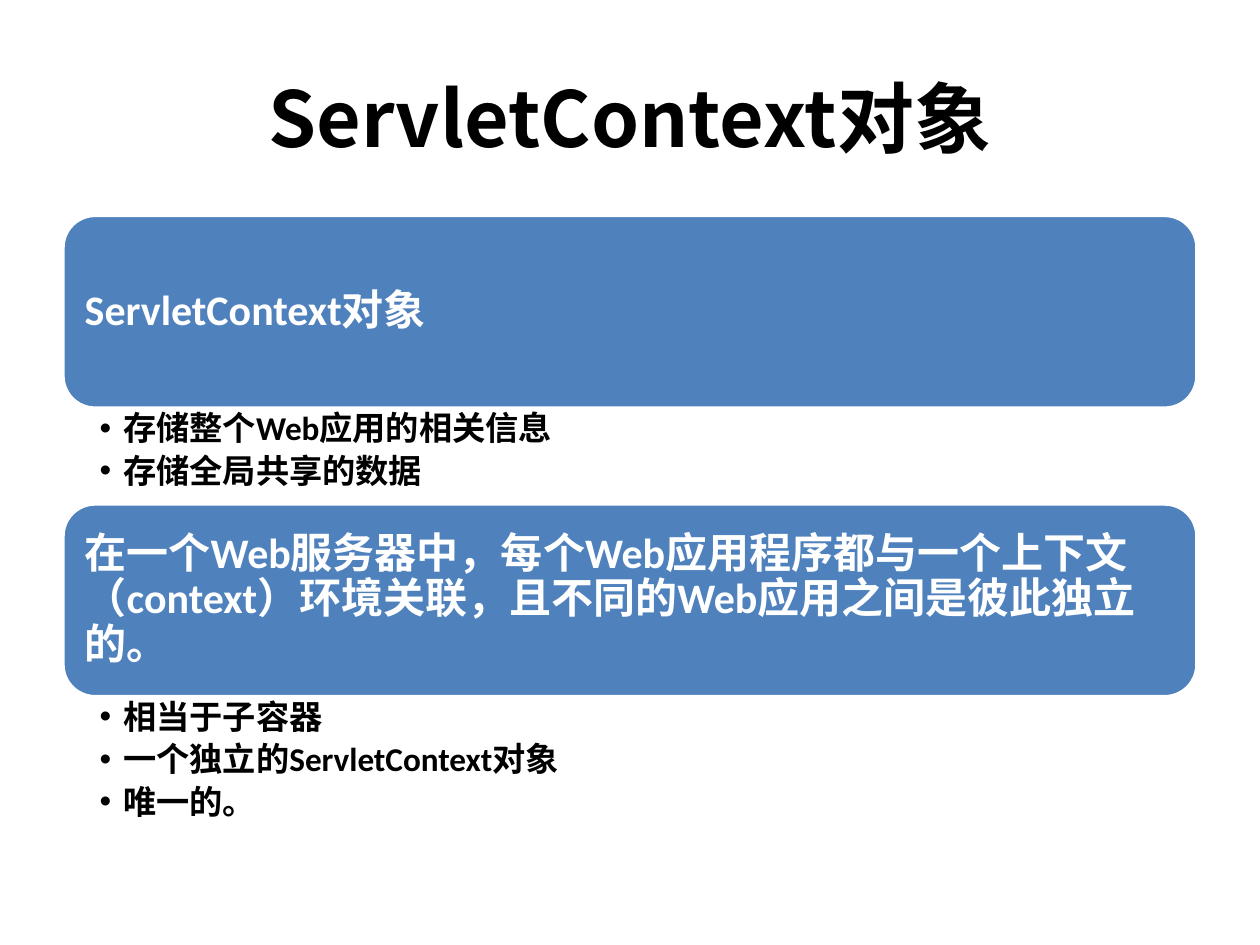
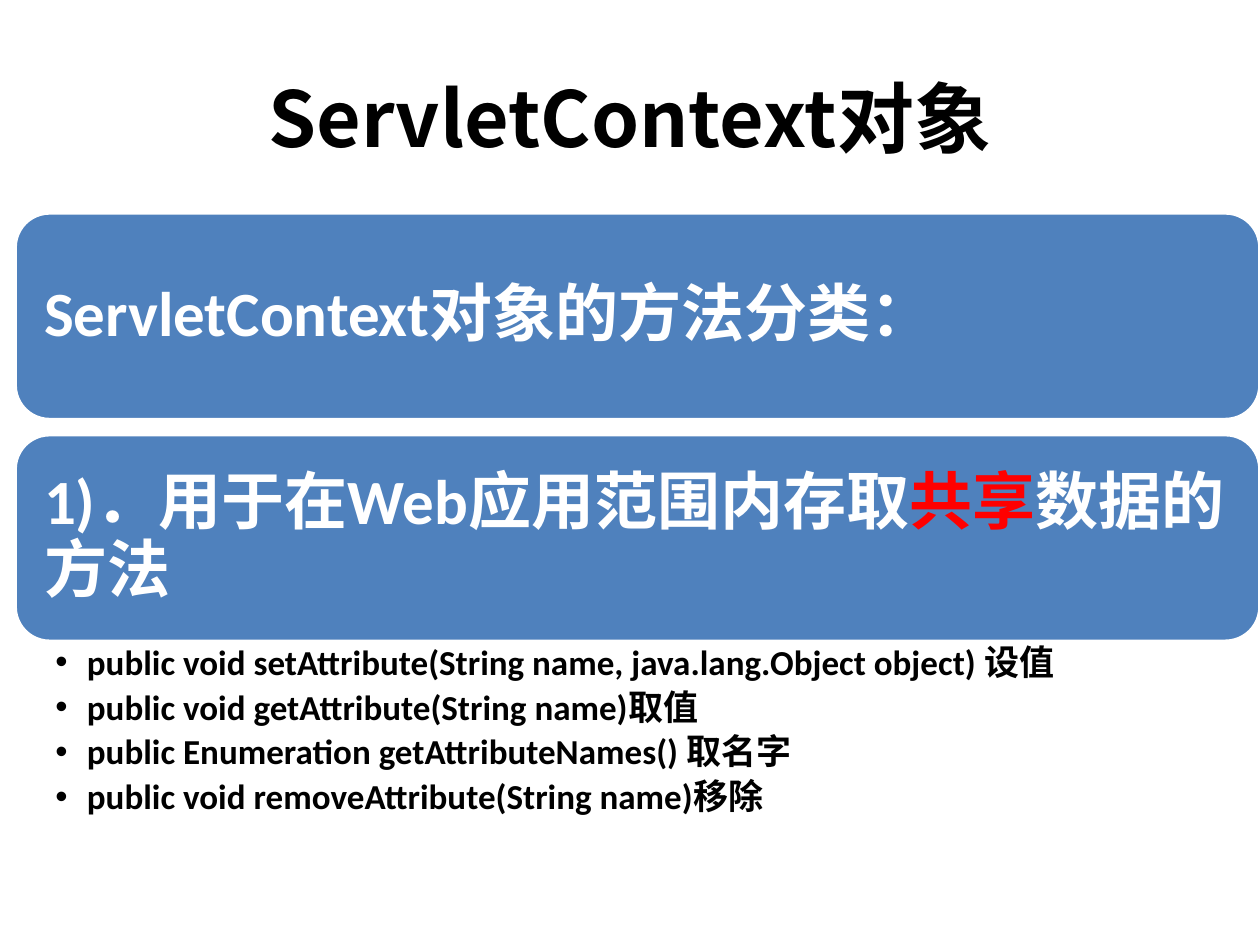
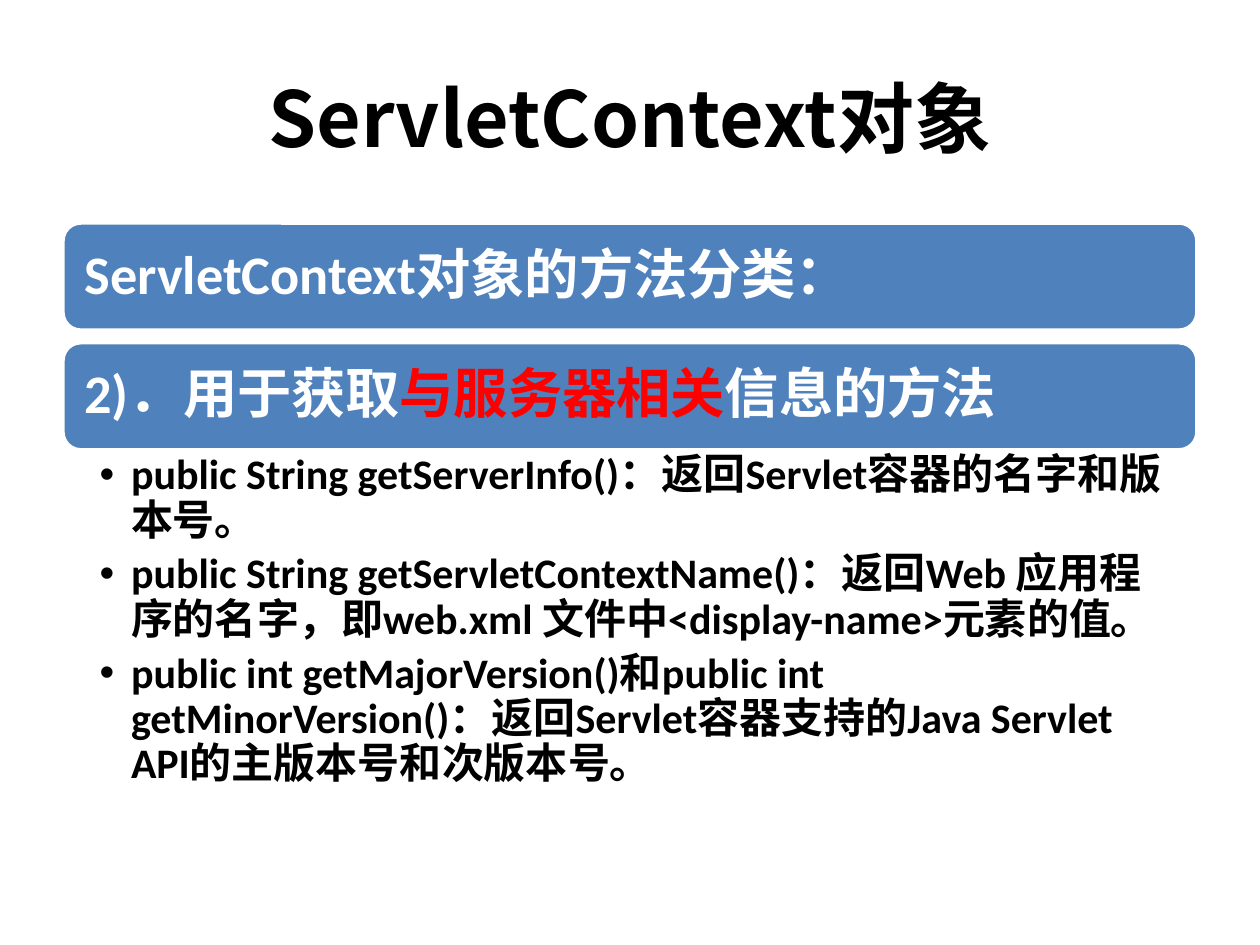
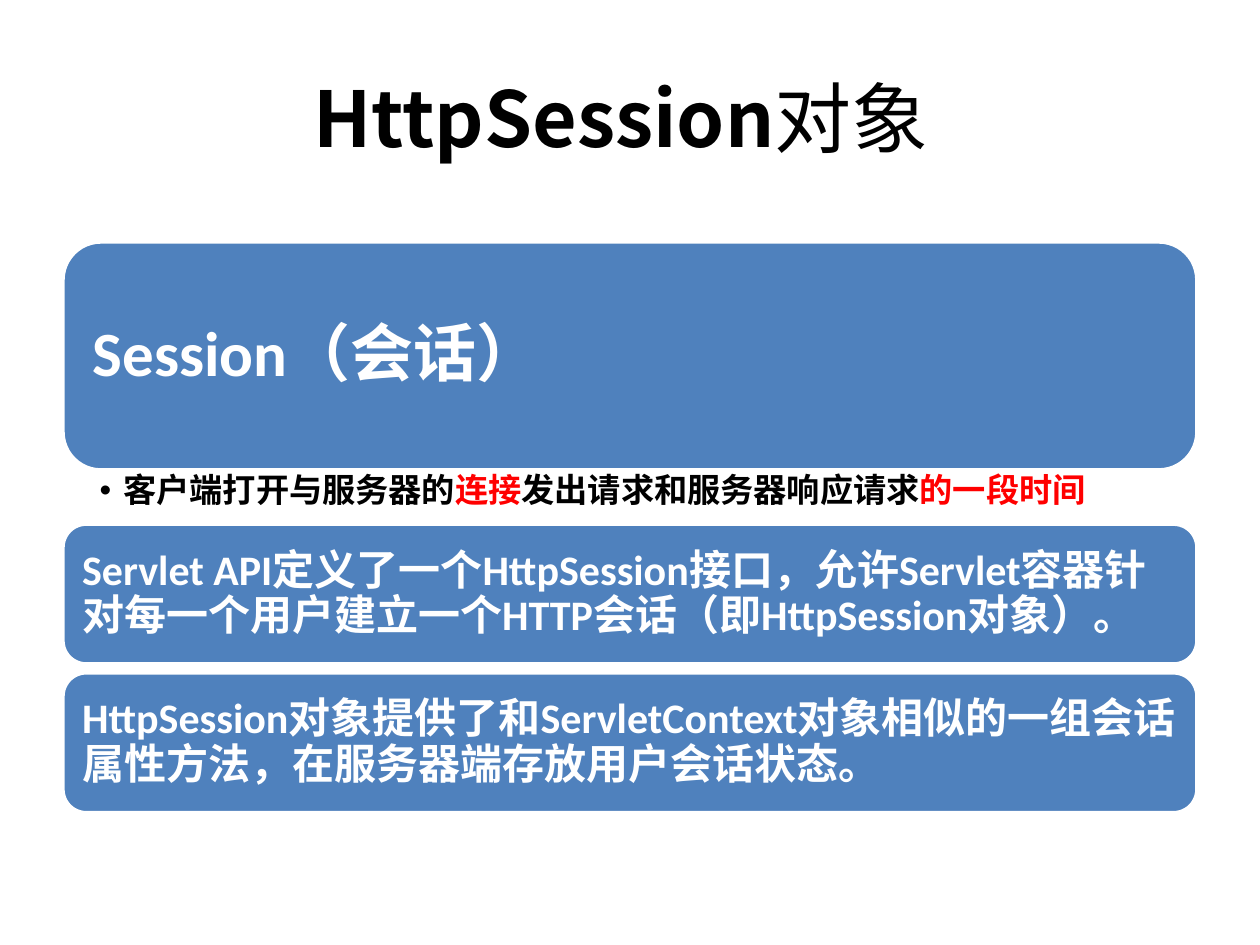
"""Build four slides on the ServletContext and HttpSession objects."""
from lxml import etree
from pptx import Presentation
from pptx import util as u
from pptx.dml.color import RGBColor
from pptx.enum import shapes, text
from pptx.oxml import ns

PX = 9144
BLUE = RGBColor(0x4F, 0x81, 0xBD)
WHITE = RGBColor(0xFF, 0xFF, 0xFF)
BLACK = RGBColor(0x00, 0x00, 0x00)
RED = RGBColor(0xFF, 0x00, 0x00)
TITLE_FONT, BODY_FONT = "Noto Sans CJK JP", "Calibri"
TITLE_BOX = (50, 30, 900, 125)

# A "|" in a text switches the accent format on and off.
SLIDES = [
    {
        "title": "ServletContext对象", "left": 50, "width": 900, "top": 171, "gap": 0,
        "parts": [
            {"kind": "band", "height": 153, "size": 24, "lines": ["ServletContext对象"]},
            {"kind": "list", "height": 76, "size": 19, "hanging": 19, "lines": [
                "存储整个Web应用的相关信息",
                "存储全局共享的数据",
            ]},
            {"kind": "band", "height": 153, "size": 24, "lines": [
                "在一个Web服务器中，每个Web应用程序都与一个上下文（context）环境关联，"
                "且不同的Web应用之间是彼此独立的。",
            ]},
            {"kind": "list", "height": 114, "size": 19, "hanging": 19, "lines": [
                "相当于子容器",
                "一个独立的ServletContext对象",
                "唯一的。",
            ]},
        ],
    },
    {
        "title": "ServletContext对象", "left": 12, "width": 988, "top": 169, "gap": 12,
        "parts": [
            {"kind": "band", "height": 164, "size": 36, "lines": ["ServletContext对象的方法分类："]},
            {"kind": "band", "height": 164, "size": 36, "lines": [
                "1)．用于在Web应用范围内存取|共享|数据的方法",
            ]},
            {"kind": "list", "height": 159, "size": 20, "hanging": 25, "lines": [
                "public void setAttribute(String name, java.lang.Object object) 设值",
                "public void getAttribute(String name)取值",
                "public Enumeration getAttributeNames() 取名字",
                "public void removeAttribute(String name)移除",
            ]},
        ],
    },
    {
        "title": "ServletContext对象", "left": 50, "width": 900, "top": 177, "gap": 10,
        "parts": [
            {"kind": "band", "height": 85, "size": 31, "lines": ["ServletContext对象的方法分类："]},
            {"kind": "band", "height": 85, "size": 31, "lines": [
                "2)．用于获取|与服务器相关|信息的方法",
            ]},
            {"kind": "list", "height": 302, "size": 24, "hanging": 25, "lines": [
                "public String getServerInfo()：返回Servlet容器的名字和版本号。",
                "public String getServletContextName()：返回Web 应用程序的名字，"
                "即web.xml 文件中<display-name>元素的值。",
                "public int getMajorVersion()和public int getMinorVersion()："
                "返回Servlet容器支持的Java Servlet API的主版本号和次版本号。",
            ]},
        ],
    },
    {
        "title": "HttpSession|对象 ", "left": 50, "width": 900, "top": 192, "gap": 7,
        "parts": [
            {"kind": "band", "height": 181, "size": 36, "lines": ["Session（会话）"]},
            {"kind": "list", "height": 43, "size": 19, "hanging": 19, "lines": [
                "客户端打开与服务器的|连接|发出请求和服务器响应请求|的一段时间",
            ]},
            {"kind": "band", "height": 111, "size": 24, "lines": [
                "Servlet API定义了一个HttpSession接口，允许Servlet容器针对每一个用户"
                "建立一个HTTP会话（即HttpSession对象）。",
            ]},
            {"kind": "band", "height": 111, "size": 24, "lines": [
                "HttpSession对象提供了和ServletContext对象相似的一组会话属性方法，"
                "在服务器端存放用户会话状态。",
            ]},
        ],
    },
]


def px(*lengths):
    return [u.Emu(length * PX) for length in lengths]


def add_bullet(para, hanging):
    props = para._p.get_or_add_pPr()
    props.set("marL", str(hanging * PX))
    props.set("indent", str(-hanging * PX))
    etree.SubElement(props, ns.qn("a:buFont")).set("typeface", "Arial")
    etree.SubElement(props, ns.qn("a:buChar")).set("char", "•")


def write(box, lines, size, color=BLACK, accent=RED, font=BODY_FONT, insets=(10, 5, 10, 5),
          anchor=text.MSO_ANCHOR.MIDDLE, align=text.PP_ALIGN.LEFT,
          spacing=None, after=0, hanging=0, accent_bold=True):
    frame = box.text_frame
    frame.word_wrap = True
    frame.auto_size = text.MSO_AUTO_SIZE.NONE
    frame.vertical_anchor = anchor
    (frame.margin_left, frame.margin_top,
     frame.margin_right, frame.margin_bottom) = px(*insets)
    for row, line in enumerate(lines):
        para = frame.add_paragraph() if row else frame.paragraphs[0]
        if hanging:
            add_bullet(para, hanging)
        para.alignment = align
        para.line_spacing = spacing
        para.space_after = u.Pt(round(size * after, 1))
        for order, piece in enumerate(line.split("|")):
            if not piece:
                continue
            span = para.add_run()
            span.text = piece
            span.font.name = font
            span.font.size = u.Pt(size)
            span.font.bold = accent_bold if order % 2 else True
            span.font.color.rgb = accent if order % 2 else color


def add_band(page, place, part):
    band = page.shapes.add_shape(shapes.MSO_SHAPE.ROUNDED_RECTANGLE, *px(*place))
    band.shadow.inherit = False
    band.fill.solid()
    band.fill.fore_color.rgb = BLUE
    band.line.color.rgb = WHITE
    band.line.width = u.Pt(2)
    inset = round(part["size"] * 0.42)
    write(band, part["lines"], part["size"], color=WHITE, insets=[inset] * 4,
          spacing=0.9, after=0.35)


def add_list(page, place, part):
    box = page.shapes.add_textbox(*px(*place))
    left_inset = round(place[2] * 0.032)
    write(box, part["lines"], part["size"], insets=(left_inset, 3, part["size"], 3),
          anchor=text.MSO_ANCHOR.TOP, spacing=0.9, after=0.2, hanging=part["hanging"])


def add_page(deck, slide):
    page = deck.slides.add_slide(deck.slide_layouts[6])
    title = page.shapes.add_textbox(*px(*TITLE_BOX))
    write(title, [slide["title"]], 44, font=TITLE_FONT, accent=BLACK, accent_bold=False,
          align=text.PP_ALIGN.CENTER)
    top, previous = slide["top"], None
    for part in slide["parts"]:
        if part["kind"] == previous == "band":
            top += slide["gap"]
        place = (slide["left"], top, slide["width"], part["height"])
        add_part = add_band if part["kind"] == "band" else add_list
        add_part(page, place, part)
        top += part["height"]
        previous = part["kind"]


def main():
    deck = Presentation()
    deck.slide_width, deck.slide_height = px(1000, 750)
    for slide in SLIDES:
        add_page(deck, slide)
    deck.save("out.pptx")


if __name__ == "__main__":
    main()
